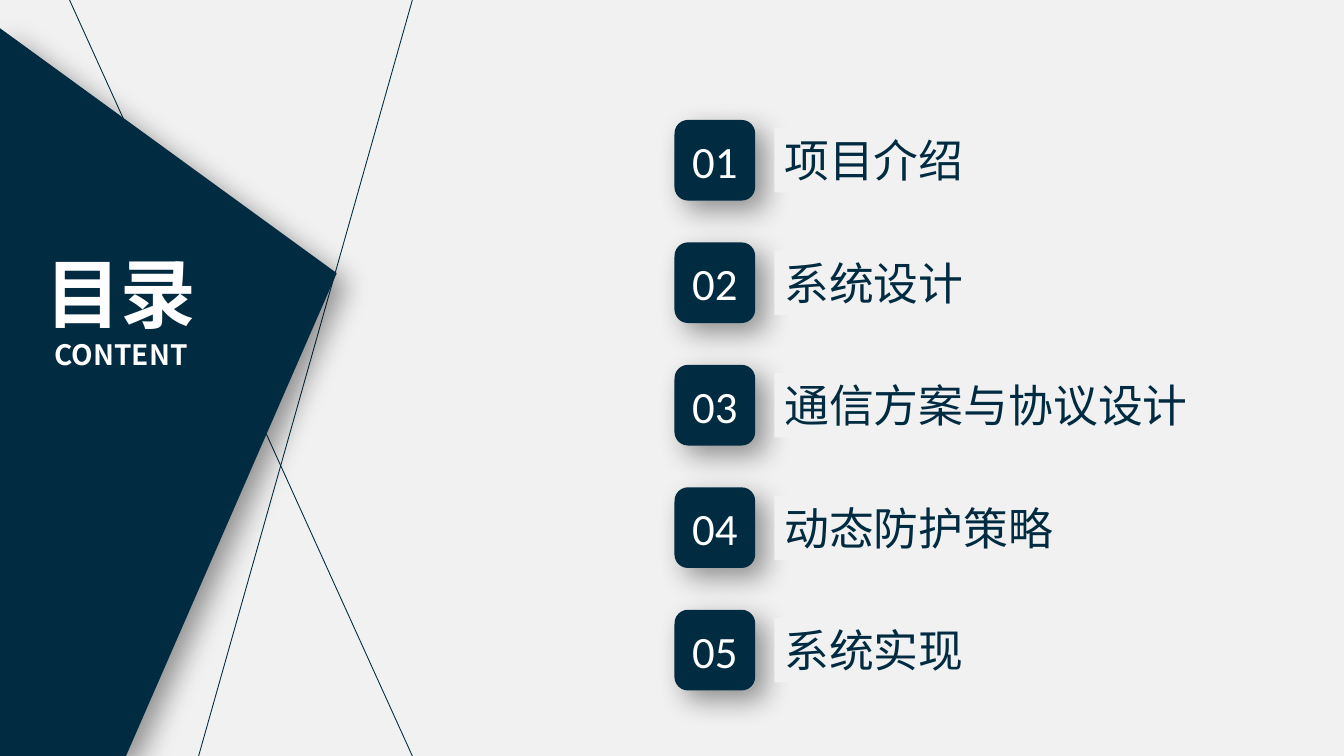
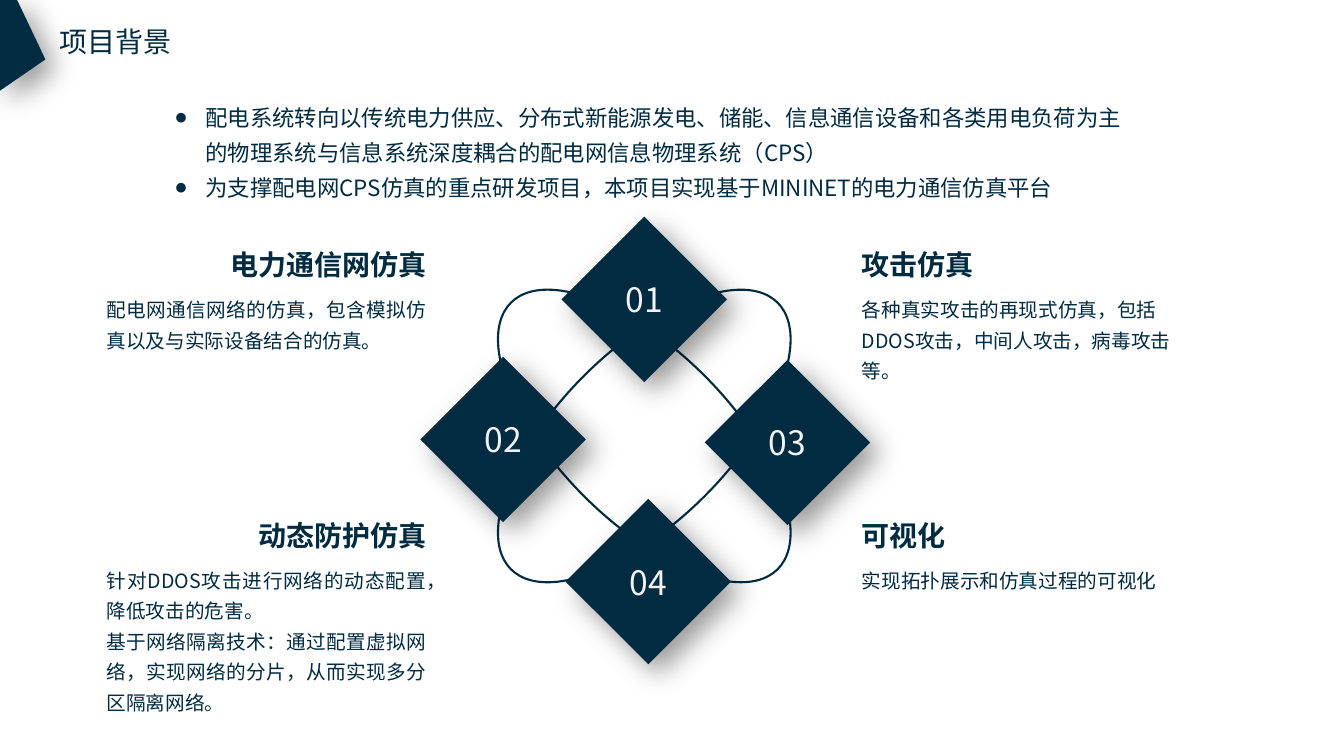
from pptx import Presentation
from pptx.dml.color import RGBColor
from pptx.enum.shapes import MSO_CONNECTOR, MSO_SHAPE
from pptx.enum.text import MSO_ANCHOR, MSO_AUTO_SIZE, PP_ALIGN
from pptx.oxml.ns import qn
from pptx.util import Inches, Pt
from lxml.etree import SubElement

HUES = {"navy": "002B41", "pale": "F1F1F1", "white": "FFFFFF",
        "light": "F2F2F2", "black": "000000"}
TINT = {name: RGBColor.from_string(code) for name, code in HUES.items()}
SANS = "Noto Sans CJK SC"
LEFT, MID, RIGHT, FULL = PP_ALIGN.LEFT, PP_ALIGN.CENTER, PP_ALIGN.RIGHT, PP_ALIGN.JUSTIFY


def write(shape, lines, size, hue="navy", bold=False, align=LEFT,
          anchor=MSO_ANCHOR.TOP, space=1.0, face=SANS, wrap=True):
    frame = shape.text_frame
    frame.text = "\n".join(lines)
    frame.word_wrap = wrap
    frame.auto_size = MSO_AUTO_SIZE.NONE
    frame.vertical_anchor = anchor
    for para in frame.paragraphs:
        para.alignment = align
        para.line_spacing = space
        para.space_before = Pt(0)
        para.font.size = Pt(size)
        para.font.bold = bold
        para.font.color.rgb = TINT[hue]
        para.font.name = face
        props = para._p.pPr.find(qn("a:defRPr"))
        SubElement(props, qn("a:ea")).set("typeface", face)


def solid(shape, hue, shade=True):
    shape.fill.solid()
    shape.fill.fore_color.rgb = TINT[hue]
    shape.line.fill.background()
    shape.shadow.inherit = False
    if shade:
        effect = shape._element.spPr.find(qn("a:effectLst"))
        drop = SubElement(effect, qn("a:outerShdw"), blurRad=str(Pt(20)),
                          dist=str(Pt(10)), dir="2700000", algn="tl", rotWithShape="0")
        color = SubElement(drop, qn("a:srgbClr"), val=HUES["black"])
        SubElement(color, qn("a:alpha"), val="40000")


deck = Presentation()
deck.slide_width, deck.slide_height = Inches(13.33), Inches(7.5)

pages = []
for layout, back, box, wedge in [
    (5, "pale", (0.24, 2.4, 1.92, 1.35), [(1.25, 7.5), (0, 7.5), (0, 0.28), (3.34, 2.71)]),
    (1, "white", (0.49, 0.19, 1.32, 0.44), [(0.17, 0), (0, 0), (0, 0.9), (0.45, 0.59)]),
]:
    slide = deck.slides.add_slide(deck.slide_layouts[layout])
    slide.background.fill.solid()
    slide.background.fill.fore_color.rgb = TINT[back]
    if layout == 5:
        for start, end in [(4.09, 1.97), (0.69, 4.09)]:
            line = slide.shapes.add_connector(
                MSO_CONNECTOR.STRAIGHT, Inches(start), 0, Inches(end), Inches(7.5))
            line.line.color.rgb = TINT["navy"]
            line.line.width = Pt(0.63)
            SubElement(line._element.spPr, qn("a:effectLst"))
    points = [(Inches(x), Inches(y)) for x, y in wedge]
    form = slide.shapes.build_freeform(*points[0])
    form.add_line_segments(points[1:], close=True)
    solid(form.convert_to_shape(), "navy")
    title = slide.shapes.title
    title.left, title.top, title.width, title.height = map(Inches, box)
    slide.shapes._spTree.append(title._element)
    pages.append(slide)

menu, topic = pages

write(menu.shapes.title, ["目录", "CONTENT"], 54, "white", True, MID)
menu.shapes.title.text_frame.paragraphs[1].font.size = Pt(20)

items = ["项目介绍", "系统设计", "通信方案与协议设计", "动态防护策略", "系统实现"]
step = (6.05 - 1.19) / (len(items) - 1)
for i, item in enumerate(items):
    top = 1.19 + i * step
    badge = menu.shapes.add_shape(MSO_SHAPE.ROUNDED_RECTANGLE, Inches(6.69),
                                  Inches(top), Inches(0.8), Inches(0.8))
    solid(badge, "navy")
    write(badge, [f"{i + 1:02}"], 32, "white", align=MID,
          anchor=MSO_ANCHOR.MIDDLE, face="Calibri", wrap=False)
    width = 4.54 if len(item) > 6 else 3.42
    label = menu.shapes.add_shape(MSO_SHAPE.RECTANGLE, Inches(7.68),
                                  Inches(top + 0.08), Inches(width), Inches(0.64))
    solid(label, "pale", shade=False)
    write(label, [item], 32)

write(topic.shapes.title, ["项目背景"], 20, wrap=False)

body = topic.placeholders[1]
body.left, body.top, body.width, body.height = map(Inches, (1.63, 0.9, 9.64, 1.15))
write(body, [
    "配电系统转向以传统电力供应、分布式新能源发电、储能、信息通信设备和各类用电负荷为主"
    "的物理系统与信息系统深度耦合的配电网信息物理系统（CPS）",
    "为支撑配电网CPS仿真的重点研发项目，本项目实现基于MININET的电力通信仿真平台",
], 16, space=1.3)
for para in body.text_frame.paragraphs:
    props = para._p.pPr
    props.set("marL", str(Inches(0.31)))
    props.set("indent", str(-Inches(0.31)))
    bullet = SubElement(props, qn("a:buChar"), char="●")
    props.find(qn("a:defRPr")).addprevious(bullet)

for turn in (45, 135):
    ring = topic.shapes.add_shape(MSO_SHAPE.OVAL, Inches(4.52), Inches(3.48),
                                  Inches(3.74), Inches(1.69))
    ring.rotation = turn
    ring.fill.background()
    ring.line.color.rgb = TINT["navy"]
    ring.line.width = Pt(1.5)
    ring.shadow.inherit = False

for number, left, top in [("01", 5.57, 2.15), ("03", 6.99, 3.57),
                          ("04", 5.61, 4.95), ("02", 4.17, 3.54)]:
    gem = topic.shapes.add_shape(MSO_SHAPE.FLOWCHART_DECISION, Inches(left),
                                 Inches(top), Inches(1.64), Inches(1.64))
    solid(gem, "navy")
    write(gem, [number], 24, "light", align=MID, anchor=MSO_ANCHOR.MIDDLE)

for left, top, head, notes in [
    (8.45, 5.09, "可视化", ["实现拓扑展示和仿真过程的可视化"]),
    (8.45, 2.41, "攻击仿真", ["各种真实攻击的再现式仿真，包括DDOS攻击，中间人攻击，病毒攻击等。"]),
    (0.96, 5.09, "动态防护仿真", [
        "针对DDOS攻击进行网络的动态配置，降低攻击的危害。",
        "基于网络隔离技术：通过配置虚拟网络，实现网络的分片，从而实现多分区隔离网络。"]),
    (0.96, 2.41, "电力通信网仿真", ["配电网通信网络的仿真，包含模拟仿真以及与实际设备结合的仿真。"]),
]:
    west = left < 5
    wide = 2.16 if west else 1.9
    edge = left + 3.37 - wide if west else left
    name = topic.shapes.add_textbox(Inches(edge), Inches(top), Inches(wide), Inches(0.44))
    write(name, [head], 20, bold=True, align=RIGHT if west else LEFT)
    high = 0.1 + 0.31 * (5 if len(notes) > 1 else -(-len(notes[0]) // 16))
    note = topic.shapes.add_textbox(Inches(left), Inches(top + 0.43),
                                    Inches(3.37), Inches(high))
    write(note, notes, 14, align=FULL if west else LEFT, space=1.3)

deck.save("out.pptx")
